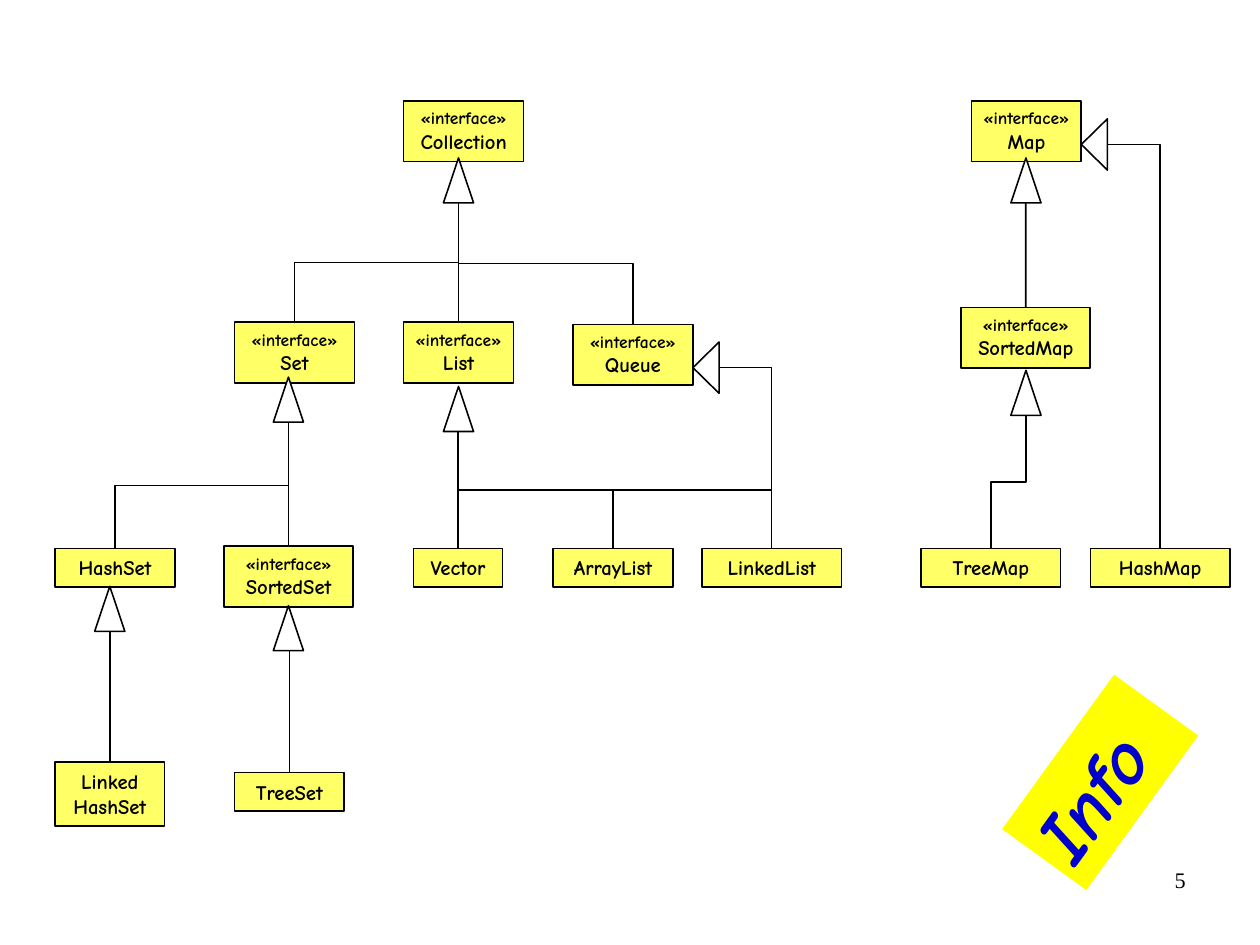
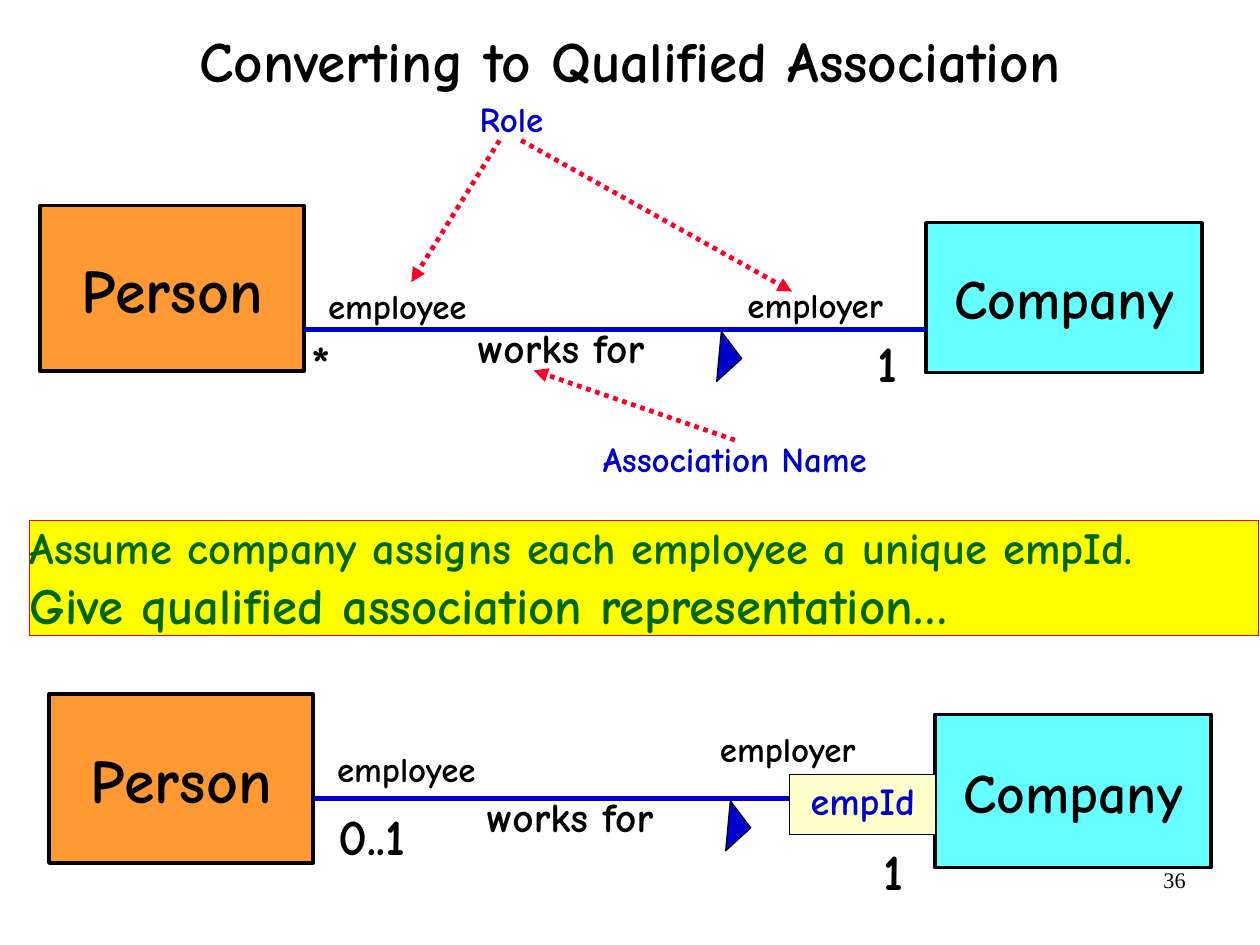
"""Build a class hierarchy slide and a qualified association slide."""
from dataclasses import dataclass

from lxml import etree
from pptx import Presentation
from pptx.dml.color import RGBColor
from pptx.enum.dml import MSO_LINE
from pptx.enum.shapes import MSO_CONNECTOR, MSO_SHAPE
from pptx.enum.text import MSO_ANCHOR, MSO_AUTO_SIZE, PP_ALIGN
from pptx.oxml.ns import qn
from pptx.util import Cm, Pt

RECT = MSO_SHAPE.RECTANGLE
WEDGE = MSO_SHAPE.ISOSCELES_TRIANGLE
LINE = MSO_CONNECTOR.STRAIGHT
ELBOW = MSO_CONNECTOR.ELBOW
DOTS = MSO_LINE.ROUND_DOT
TOP, MIDDLE = MSO_ANCHOR.TOP, MSO_ANCHOR.MIDDLE
LEFT, CENTER, RIGHT = PP_ALIGN.LEFT, PP_ALIGN.CENTER, PP_ALIGN.RIGHT
FIXED = MSO_AUTO_SIZE.NONE


@dataclass(frozen=True)
class Theme:
    font: str = "Comic Neue"
    serif: str = "Times New Roman"
    black: RGBColor = RGBColor(0, 0, 0)
    white: RGBColor = RGBColor(255, 255, 255)
    lemon: RGBColor = RGBColor(0xFF, 0xFF, 0x66)
    yellow: RGBColor = RGBColor(0xFF, 0xFF, 0)
    cream: RGBColor = RGBColor(0xFF, 0xFF, 0xCC)
    orange: RGBColor = RGBColor(0xFF, 0x99, 0x33)
    aqua: RGBColor = RGBColor(0x66, 0xFF, 0xFF)
    blue: RGBColor = RGBColor(0, 0, 0xCC)
    green: RGBColor = RGBColor(0, 0x66, 0)
    red: RGBColor = RGBColor(0xFF, 0, 0)
    rose: RGBColor = RGBColor(0xFC, 0x01, 0x28)
    stamp: int = 48
    person: int = 39
    title: int = 36
    firm: int = 35
    large: int = 32
    lead: int = 28
    verb: int = 26
    key: int = 24
    label: int = 22
    page: int = 14
    name: int = 13
    kind: int = 11


THEME = Theme()


@dataclass(frozen=True)
class Area:
    x: float
    y: float
    w: float
    h: float

    def cm(self) -> tuple:
        return Cm(self.x), Cm(self.y), Cm(self.w), Cm(self.h)


@dataclass(frozen=True)
class Style:
    color: RGBColor = THEME.black
    align: PP_ALIGN = LEFT
    anchor: MSO_ANCHOR = TOP
    pad: tuple = (0.28, 0.15)
    space: float = 1.0
    font: str = THEME.font
    bold: bool = True
    slant: bool = False


@dataclass(frozen=True)
class Node:
    name: str
    x: float
    y: float
    w: float
    h: float = 0.86
    iface: bool = False

    @property
    def mid(self) -> float:
        return self.x + self.w / 2


@dataclass(frozen=True)
class Tip:
    x: float
    y: float
    kids: tuple


@dataclass(frozen=True)
class Link:
    x: float
    y: float
    person: tuple
    firm: tuple
    worker: float
    boss: tuple
    many: tuple
    one: tuple
    count: str
    key: str = ""


@dataclass(frozen=True)
class Arrow:
    x1: float
    y1: float
    x2: float
    y2: float


TALL = 1.35
NODES = (
    Node("Collection", 8.97, 2.24, 2.67, TALL, True),
    Node("Set", 5.21, 7.16, 2.67, TALL, True),
    Node("List", 8.97, 7.16, 2.44, TALL, True),
    Node("Queue", 12.73, 7.21, 2.67, TALL, True),
    Node("SortedSet", 4.98, 12.14, 2.87, TALL, True),
    Node("Map", 21.59, 2.24, 2.44, TALL, True),
    Node("SortedMap", 21.36, 6.83, 2.87, TALL, True),
    Node("TreeSet", 5.21, 17.17, 2.44),
    Node("HashSet", 1.22, 12.19, 2.67),
    Node("Linked\nHashSet", 1.22, 16.94, 2.44, 1.42),
    Node("Vector", 9.19, 12.19, 1.98),
    Node("ArrayList", 12.29, 12.19, 2.67),
    Node("LinkedList", 15.6, 12.19, 3.1),
    Node("TreeMap", 20.47, 12.19, 3.1),
    Node("HashMap", 24.23, 12.19, 3.1),
)
TIPS = (
    Tip(10.19, 3.51, ("Set", "List", "Queue")),
    Tip(6.41, 8.38, ("HashSet", "SortedSet")),
    Tip(10.19, 8.59, ("Vector", "ArrayList", "LinkedList")),
    Tip(2.44, 13.03, ("Linked\nHashSet",)),
    Tip(6.41, 13.46, ("TreeSet",)),
    Tip(22.8, 3.51, ("SortedMap",)),
    Tip(22.8, 8.23, ("TreeMap",)),
)
SIDES = (Tip(15.4, 8.17, ("LinkedList",)), Tip(24.03, 3.21, ("HashMap",)))
TIP_W, TIP_H = 0.67, 1.0
SIDE_W, SIDE_H = 1.14, 0.58

LINKS = (
    Link(6.76, 7.32, (4.57, 3.68), (4.95, 3.33), -1.15,
         (9.57, -1.17), (0.17, 0.05), (12.75, 0.05), "*"),
    Link(6.96, 17.75, (15.42, 3.76), (15.88, 3.4), -1.29,
         (8.76, -1.72), (0.56, 0.13), (12.67, 0.92), "0..1", "empId"),
)
ARROWS = (
    Arrow(16.33, 9.78, 11.86, 8.23),
    Arrow(11.1, 3.12, 9.14, 6.27),
    Arrow(11.58, 3.12, 17.6, 6.48),
)


def write(shape, lines: list, style: Style):
    """Fill a shape with (text, size) lines, one paragraph each."""
    frame = shape.text_frame
    frame.word_wrap = True
    frame.auto_size = FIXED
    frame.vertical_anchor = style.anchor
    frame.margin_left = frame.margin_right = Cm(style.pad[0])
    frame.margin_top = frame.margin_bottom = Cm(style.pad[1])
    for pos, (text, size) in enumerate(lines):
        para = frame.add_paragraph() if pos else frame.paragraphs[0]
        para.alignment = style.align
        para.line_spacing = style.space
        run = para.add_run()
        run.text = text
        font = run.font
        font.name, font.size = style.font, Pt(size)
        font.bold, font.italic = style.bold, style.slant
        font.color.rgb = style.color


def label(slide, text: str, size: int, area: Area, style: Style = Style()):
    """Add a plain text box."""
    write(slide.shapes.add_textbox(*area.cm()), [(text, size)], style)


def block(slide, area: Area, fill: RGBColor, edge: RGBColor | None = THEME.black,
          width: float = 1, kind: MSO_SHAPE = RECT, turn: float = 0):
    """Add a flat filled shape."""
    shape = slide.shapes.add_shape(kind, *area.cm())
    shape.shadow.inherit = False
    shape.rotation = turn
    shape.fill.solid()
    shape.fill.fore_color.rgb = fill
    if edge is None:
        shape.line.fill.background()
    else:
        shape.line.color.rgb = edge
        shape.line.width = Pt(width)
    return shape


def line(slide, run: Arrow, color: RGBColor = THEME.black, width: float = 1,
         kind: MSO_CONNECTOR = LINE):
    """Add a flat connector."""
    wire = slide.shapes.add_connector(
        kind, Cm(run.x1), Cm(run.y1), Cm(run.x2), Cm(run.y2))
    wire.line.color.rgb = color
    wire.line.width = Pt(width)
    etree.SubElement(wire.element.spPr, qn("a:effectLst"))
    return wire


def bend(slide, run: Arrow, single: bool = False):
    """Add an elbow that leaves upward, with one or two corners."""
    w, h = run.y1 - run.y2, abs(run.x2 - run.x1)
    x, y = (run.x1 + run.x2 - w) / 2, (run.y1 + run.y2 - h) / 2
    wire = line(slide, Arrow(x, y, x + w, y + h), kind=ELBOW)
    form = wire.element.spPr.find(qn("a:xfrm"))
    back = run.x1 > run.x2
    form.set("rot", str((90 if back else 270) * 60000))
    if back:
        form.set("flipH", "1")
    if single:
        wire.element.spPr.find(qn("a:prstGeom")).set("prst", "bentConnector2")


def page(slide, number: int):
    """Add the page number."""
    label(slide, str(number), THEME.page, Area(20.07, 19.13, 6.53, 1.45),
          Style(align=RIGHT, pad=(0.25, 0.13), font=THEME.serif, bold=False))


def tree(slide):
    """Draw the class hierarchy."""
    style = Style(align=CENTER, pad=(0, 0.15))
    boxes = {}
    for node in NODES:
        box = block(slide, Area(node.x, node.y, node.w, node.h), THEME.lemon)
        lines = [("«interface»", THEME.kind)] if node.iface else []
        lines += [(part, THEME.name) for part in node.name.split("\n")]
        write(box, lines, style)
        boxes[node.name] = (node, box)
    for tip in TIPS:
        block(slide, Area(tip.x - TIP_W / 2, tip.y, TIP_W, TIP_H),
              THEME.white, kind=WEDGE)
        base = tip.y + TIP_H
        for kid in tip.kids:
            node, box = boxes[kid]
            if abs(node.mid - tip.x) < 0.1:
                wire = line(slide, Arrow(node.mid, node.y, node.mid, base))
                wire.begin_connect(box, 0)
            else:
                bend(slide, Arrow(node.mid, node.y, tip.x, base))
    for tip in SIDES:
        area = Area(tip.x + (SIDE_H - SIDE_W) / 2, tip.y - SIDE_H / 2, SIDE_W, SIDE_H)
        block(slide, area, THEME.white, kind=WEDGE, turn=270)
        for kid in tip.kids:
            node = boxes[kid][0]
            bend(slide, Arrow(node.mid, node.y, tip.x + SIDE_H, tip.y), True)
    stamp = block(slide, Area(22.33, 16.23, 4.24, 2.31), THEME.yellow, None, turn=305.9)
    write(stamp, [("Info", THEME.stamp)],
          Style(color=THEME.blue, pad=(0.25, 0.13), slant=True))


def relate(slide, link: Link):
    """Draw a person, a company and the line between them."""
    x, y = link.x, link.y
    mid = Style(align=CENTER, anchor=MIDDLE)
    bare = Style(pad=(0, 0))
    person = block(slide, Area(x - 5.87, link.person[0], 5.87, link.person[1]),
                   THEME.orange, width=2.25)
    write(person, [("Person", THEME.person)], mid)
    firm = block(slide, Area(x + 13.82, link.firm[0], 6.13, link.firm[1]),
                 THEME.aqua, width=2.25)
    write(firm, [("Company", THEME.firm)], mid)
    line(slide, Arrow(x, y, x + 13.82, y), THEME.blue, 3)
    block(slide, Area(x + 8.91, y + 0.37, 1.12, 0.51), THEME.blue,
          width=0.75, kind=WEDGE, turn=95.3)
    label(slide, "works for", THEME.verb, Area(x + 3.58, y - 0.31, 4.9, 1.47))
    label(slide, "employee", THEME.label, Area(x + 0.25, y + link.worker, 3.99, 1.3))
    label(slide, "employer", THEME.label,
          Area(x + link.boss[0], y + link.boss[1], 4.88, 1.3))
    label(slide, link.count, THEME.large,
          Area(x + link.many[0], y + link.many[1], 2.36, 1.35), bare)
    label(slide, "1", THEME.large,
          Area(x + link.one[0], y + link.one[1], 0.69, 1.35), bare)
    if link.key:
        box = block(slide, Area(x + 10.59, y - 0.53, 3.25, 1.32), THEME.cream, width=0.75)
        write(box, [(link.key, THEME.key)],
              Style(color=THEME.blue, align=CENTER, anchor=MIDDLE,
                    pad=(0.25, 0.13), space=0.8))


def convert(slide):
    """Draw the plain and the qualified association."""
    title = slide.shapes.title
    title.left, title.top, title.width, title.height = Area(0, -0.3, 28, 3.48).cm()
    write(title, [("Converting to Qualified Association", THEME.title)],
          Style(align=CENTER, anchor=MIDDLE, pad=(0, 0), space=0.88))
    for link in LINKS:
        relate(slide, link)
    note = Style(color=THEME.blue, align=CENTER)
    label(slide, "Association Name", THEME.label, Area(12.75, 9.58, 7.16, 1.22), note)
    label(slide, "Role", THEME.label, Area(10.31, 2.03, 2.11, 1.22), note)
    for run in ARROWS:
        wire = line(slide, run, THEME.rose, 3)
        wire.line.dash_style = DOTS
        etree.SubElement(wire.element.spPr.find(qn("a:ln")), qn("a:tailEnd"), type="triangle")
    band = block(slide, Area(0.66, 11.56, 27.31, 2.57), THEME.yellow, THEME.red, 0.75)
    write(band, [("Assume company assigns each employee a unique empId.", THEME.lead),
                 ("Give qualified association representation…", THEME.large)],
          Style(color=THEME.green, pad=(0, 0)))


def main():
    """Build and save the deck."""
    deck = Presentation()
    deck.slide_width, deck.slide_height = Cm(28), Cm(21)
    for layout, number, draw in ((6, 5, tree), (5, 36, convert)):
        slide = deck.slides.add_slide(deck.slide_layouts[layout])
        page(slide, number)
        draw(slide)
    deck.save("out.pptx")


if __name__ == "__main__":
    main()
